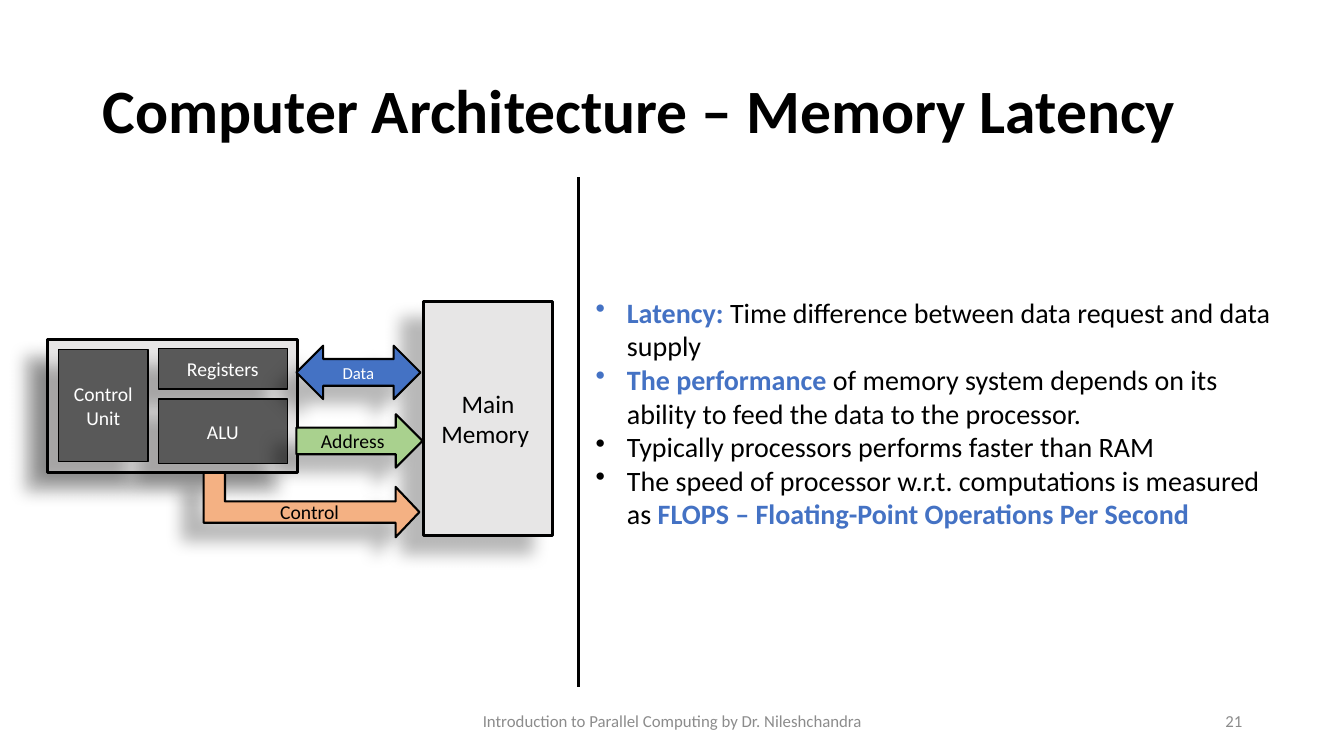
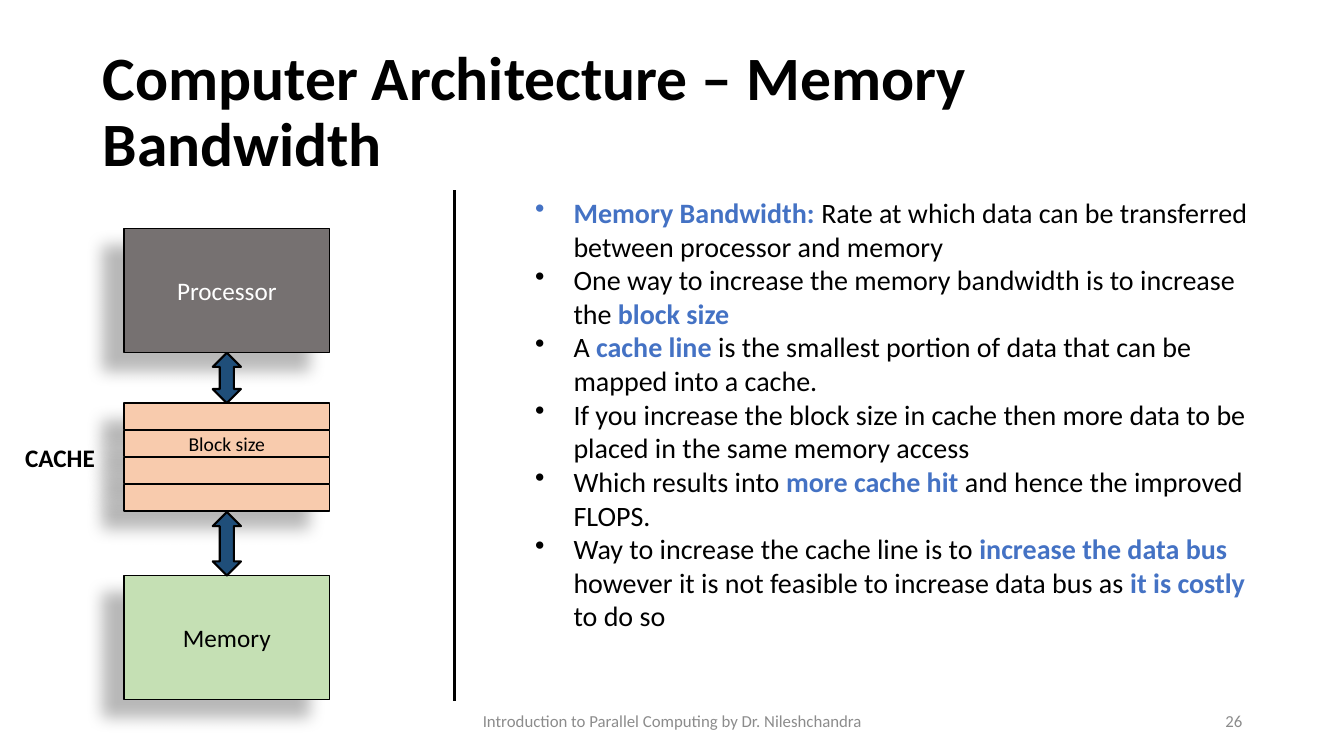
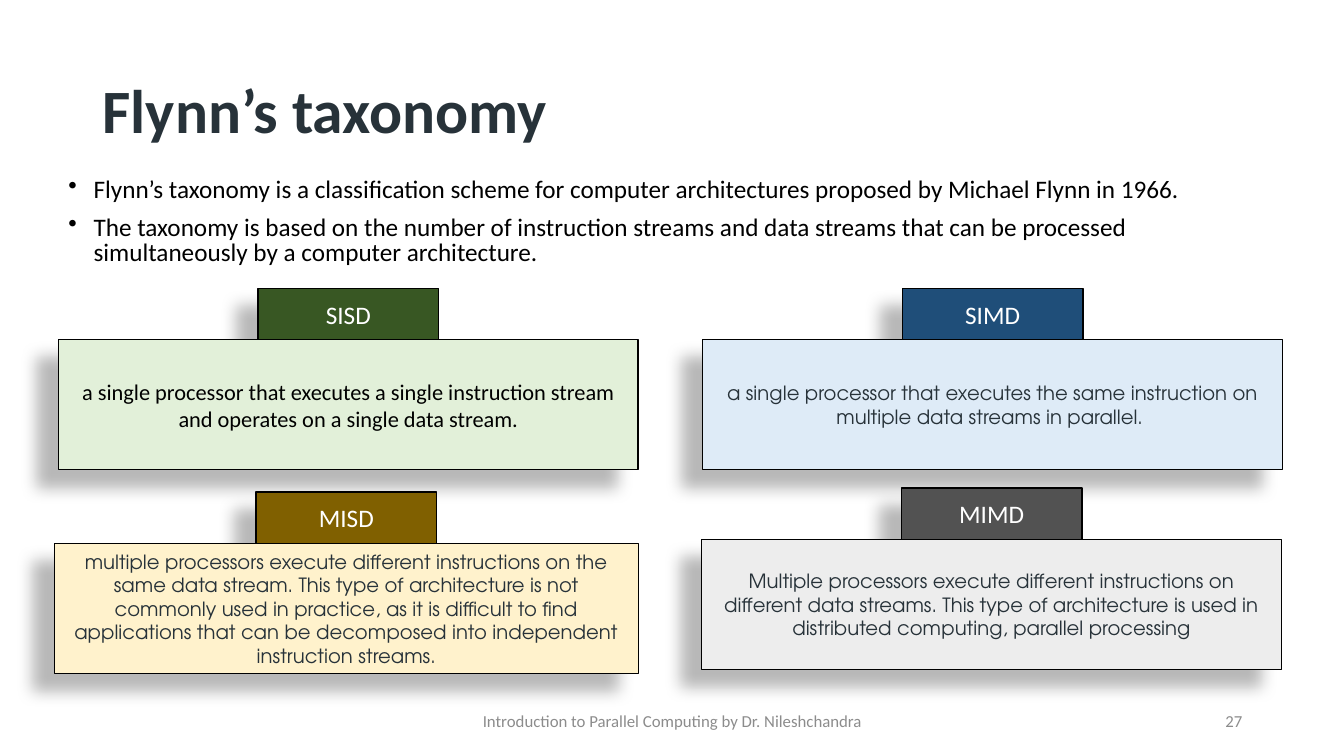
from lxml import etree
from pptx import Presentation
from pptx import util as u
from pptx.dml.color import RGBColor
from pptx.enum import shapes, text
from pptx.oxml.ns import qn

COLORS = {
    "black": "000000", "white": "FFFFFF", "ink": "273239", "footer": "8C8C8C",
    "accent": "4472C4", "navy": "1F4E79", "unit": "595959", "panel": "E7E6E6",
    "address": "A9D18E", "control": "F4B183", "cache": "F8CBAD",
    "processor": "767171", "memory": "C5E0B4",
    "sisd": "385723", "sisd_light": "E2F0D9", "simd_light": "DEEBF7",
    "misd": "806000", "misd_light": "FFF2CC",
    "mimd": "525252", "mimd_light": "EDEDED",
}
BODY_FONT = "Calibri"
TAXONOMY_FONT = "TeX Gyre Adventor"
FOOTER = "Introduction to Parallel Computing by Dr. Nileshchandra"
KINDS = shapes.MSO_SHAPE
ALIGN = text.PP_ALIGN
MIDDLE = text.MSO_ANCHOR.MIDDLE


def rgb(name):
    return RGBColor.from_string(COLORS[name])


def place(box):
    return [u.Inches(value) for value in box]


def add_run(paragraph, words, size, color="black", bold=False, font=BODY_FONT):
    run = paragraph.add_run()
    run.text = words
    run.font.name = font
    run.font.size = u.Pt(size)
    run.font.bold = bold
    run.font.color.rgb = rgb(color)


def add_lines(frame, lines, size, align=ALIGN.LEFT, **style):
    for index, line in enumerate(lines):
        paragraph = frame.add_paragraph() if index else frame.paragraphs[0]
        paragraph.alignment = align
        add_run(paragraph, line, size, **style)


def add_label(slide, box, words, size, align=ALIGN.LEFT, anchor=MIDDLE, wrap=True, **style):
    frame = slide.shapes.add_textbox(*place(box)).text_frame
    frame.word_wrap = wrap
    frame.vertical_anchor = anchor
    add_lines(frame, [words], size, align, **style)
    return frame


def add_shadow(shape):
    effects = shape._element.spPr.find(qn("a:effectLst"))
    shadow = etree.SubElement(effects, qn("a:outerShdw"), blurRad=str(u.Pt(11.8)),
                              dist=str(u.Pt(19.7)), dir=str(141 * 60000),
                              algn="ctr", rotWithShape="0")
    color = etree.SubElement(shadow, qn("a:srgbClr"), val=COLORS["black"])
    etree.SubElement(color, qn("a:alpha"), val="28000")


def add_block(slide, box, fill, lines=(), size=14, kind=KINDS.RECTANGLE,
              outline=1, shadow=True, **style):
    shape = slide.shapes.add_shape(kind, *place(box))
    shape.fill.solid()
    shape.fill.fore_color.rgb = rgb(fill)
    shape.line.color.rgb = rgb("black")
    shape.line.width = u.Pt(outline)
    shape.shadow.inherit = False
    if shadow:
        add_shadow(shape)
    shape.text_frame.word_wrap = True
    shape.text_frame.vertical_anchor = MIDDLE
    add_lines(shape.text_frame, lines, size, ALIGN.CENTER, **style)
    return shape


def add_divider(slide, x, top, bottom):
    line = slide.shapes.add_connector(shapes.MSO_CONNECTOR.STRAIGHT,
                                      *place((x, top, x, bottom)))
    line.line.color.rgb = rgb("black")
    line.line.width = u.Pt(2.25)
    etree.SubElement(line._element.spPr, qn("a:effectLst"))


def add_bullets(slide, box, lines, size, indent, line_spacing=1.0, gap=0):
    frame = slide.shapes.add_textbox(*place(box)).text_frame
    frame.word_wrap = True
    for index, line in enumerate(lines):
        paragraph = frame.add_paragraph() if index else frame.paragraphs[0]
        properties = paragraph._p.get_or_add_pPr()
        properties.set("marL", str(u.Inches(indent)))
        properties.set("indent", str(-u.Inches(indent)))
        etree.SubElement(properties, qn("a:buChar"), char="•")
        paragraph.line_spacing = line_spacing
        paragraph.space_before = u.Pt(gap if index else 0)
        for part, words in enumerate(line.split("*")):
            key = part % 2 == 1
            if words:
                add_run(paragraph, words, size, "accent" if key else "black", key)


def add_page(presentation, title, number, title_color="black"):
    slide = presentation.slides.add_slide(presentation.slide_layouts[6])
    heading = add_label(slide, (0.92, 0.4, 11.5, 1.45), title, 44,
                        color=title_color, bold=True)
    heading.paragraphs[0].line_spacing = 0.9
    add_label(slide, (4.42, 6.95, 4.5, 0.4), FOOTER, 12, ALIGN.CENTER, color="footer")
    add_label(slide, (9.42, 6.95, 3, 0.4), str(number), 12, ALIGN.RIGHT, color="footer")
    return slide


def add_category(slide, left, top, width, name, dark, light, description, **style):
    tab_width, tab_height = 1.79, 0.51
    tab_left = left + (width - tab_width) / 2
    add_block(slide, (tab_left, top, tab_width, tab_height), dark, [name], 18, color="white")
    add_block(slide, (left, top + tab_height, width, 1.29), light, [description], **style)


def build_latency(presentation):
    slide = add_page(presentation, "Computer Architecture – Memory Latency", 21)
    add_block(slide, (0.47, 3.37, 2.48, 1.32), "panel", outline=2.25)
    for box, lines in (
        ((1.57, 3.46, 1.28, 0.4), ["Registers"]),
        ((1.57, 3.96, 1.28, 0.64), ["ALU"]),
        ((0.58, 3.47, 0.89, 1.11), ["Control", "Unit"]),
    ):
        add_block(slide, box, "unit", lines, color="white")
    add_block(slide, (4.2, 2.99, 1.28, 2.32), "panel", ["Main Memory "], 18, outline=2.25)
    add_block(slide, (2.94, 3.43, 1.23, 0.53), "accent", ["Data"], 12,
              KINDS.LEFT_RIGHT_ARROW, 1.5, color="white")
    add_block(slide, (2.94, 4.11, 1.25, 0.53), "address", ["Address"], 14,
              KINDS.RIGHT_ARROW, 1.5)
    control = add_block(slide, (2.77, 3.94, 0.64, 2.14), "control",
                        kind=KINDS.BENT_UP_ARROW, outline=1.5)
    control.rotation = 90
    for index, value in enumerate((0.33, 0.39, 0.37)):
        control.adjustments[index] = value
    add_label(slide, (2.68, 4.91, 0.8, 0.34), "Control", 14,
              anchor=text.MSO_ANCHOR.TOP, wrap=False)
    add_divider(slide, 5.74, 1.76, 6.82)
    add_bullets(slide, (5.81, 2.88, 7.06, 2.46), [
        "*Latency: *Time difference between data request and data supply",
        "*The performance *of memory system depends on its ability to feed the data to the processor.",
        "Typically processors performs faster than RAM",
        "The speed of processor w.r.t. computations is measured as "
        "*FLOPS – Floating-Point Operations Per Second*",
    ], 20, 0.31)


def build_bandwidth(presentation):
    slide = add_page(presentation, "Computer Architecture – Memory Bandwidth", 26)
    add_bullets(slide, (5.21, 1.89, 7.41, 4.48), [
        "*Memory Bandwidth: *Rate at which data can be transferred between processor and memory",
        "One way to increase the memory bandwidth is to increase the *block size*",
        "A *cache line *is the smallest portion of data that can be mapped into a cache.",
        "If you increase the block size in cache then more data to be placed in the same memory access",
        "Which results into *more cache hit *and hence the improved FLOPS.",
        "Way to increase the cache line is to *increase the data bus *however it is not feasible "
        "to increase data bus as *it is costly *to do so",
    ], 20, 0.38)
    left, width = 1.23, 2.04
    add_block(slide, (left, 2.27, width, 1.23), "processor", ["Processor"], 18, color="white")
    for row, lines in enumerate(([], ["Block size"], [], [])):
        add_block(slide, (left, 4 + row * 0.27, width, 0.26), "cache", lines)
    add_block(slide, (left, 5.71, width, 1.23), "memory", ["Memory"], 18)
    add_label(slide, (0.15, 4.34, 0.9, 0.4), "CACHE", 18,
              anchor=text.MSO_ANCHOR.TOP, wrap=False, bold=True)
    for top, height in ((3.5, 0.5), (5.08, 0.63)):
        add_block(slide, (2.11, top, 0.28, height), "navy",
                  kind=KINDS.UP_DOWN_ARROW, outline=1.5, shadow=False)
    add_divider(slide, 4.51, 1.89, 6.95)


def build_taxonomy(presentation):
    slide = add_page(presentation, "Flynn’s taxonomy", 27, "ink")
    add_bullets(slide, (0.58, 1.73, 11.84, 0.99), [
        "Flynn’s taxonomy is a classification scheme for computer architectures "
        "proposed by Michael Flynn in 1966.",
        "The taxonomy is based on the number of instruction streams and data streams "
        "that can be processed simultaneously by a computer architecture.",
    ], 18, 0.25, 0.8, 10)
    add_category(slide, 0.58, 2.86, 5.75, "SISD", "sisd", "sisd_light",
                 "a single processor that executes a single instruction stream "
                 "and operates on a single data stream.", size=16)
    ink = {"size": 14, "color": "ink", "font": TAXONOMY_FONT}
    add_category(slide, 6.97, 2.86, 5.75, "SIMD", "navy", "simd_light",
                 "a single processor that executes the same instruction on "
                 "multiple data streams in parallel. ", **ink)
    add_category(slide, 0.54, 4.88, 5.79, "MISD", "misd", "misd_light",
                 "multiple processors execute different instructions on the same data stream. "
                 "This type of architecture is not commonly used in practice, as it is difficult "
                 "to find applications that can be decomposed into independent instruction streams.",
                 **ink)
    add_category(slide, 6.96, 4.84, 5.75, "MIMD", "mimd", "mimd_light",
                 "Multiple processors execute different instructions on different data streams. "
                 "This type of architecture is used in distributed computing, parallel processing",
                 **ink)


def main():
    presentation = Presentation()
    presentation.slide_width = u.Inches(13.33)
    presentation.slide_height = u.Inches(7.5)
    build_latency(presentation)
    build_bandwidth(presentation)
    build_taxonomy(presentation)
    presentation.save("out.pptx")


if __name__ == "__main__":
    main()
